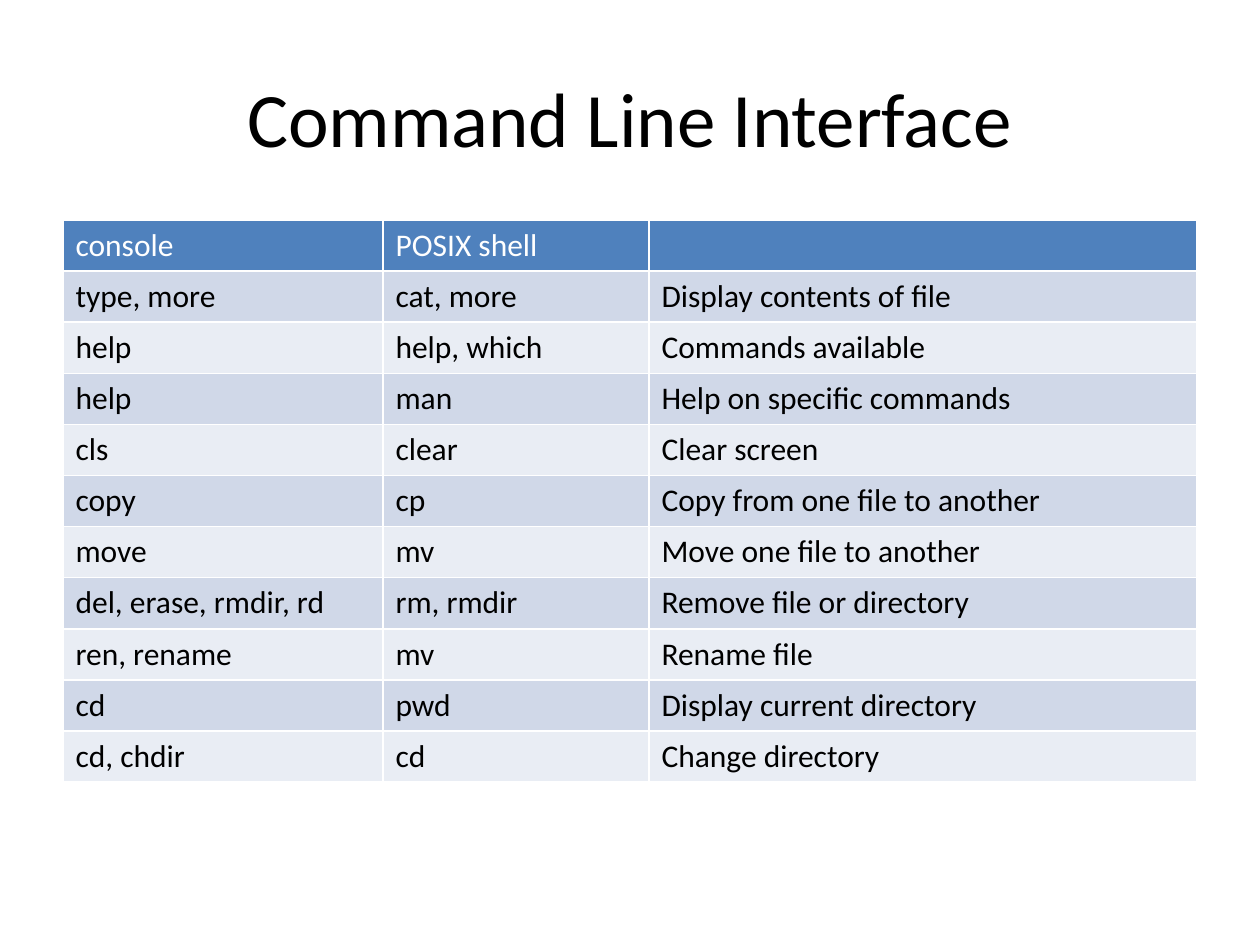
from lxml import etree
from pptx import Presentation
from pptx.dml.color import RGBColor
from pptx.enum.text import MSO_ANCHOR, PP_ALIGN
from pptx.oxml.ns import qn
from pptx.util import Pt

PX = 914400 / 126
CENTER = PP_ALIGN.CENTER
MIDDLE = MSO_ANCHOR.MIDDLE
FONT = "Calibri"
TITLE_ONLY = 5
COLORS = {
    "text": "000000",
    "header": "4F81BD",
    "header_text": "FFFFFF",
    "odd_row": "D0D8E8",
    "even_row": "E9EDF4",
    "border": "FFFFFF",
}
COLUMN_WIDTHS = [320, 266, 548]
COMMANDS = [
    ("console", "POSIX shell", ""),
    ("type, more", "cat, more", "Display contents of file"),
    ("help", "help, which", "Commands available"),
    ("help", "man", "Help on specific commands"),
    ("cls", "clear", "Clear screen"),
    ("copy", "cp", "Copy from one file to another"),
    ("move", "mv", "Move one file to another"),
    ("del, erase, rmdir, rd", "rm, rmdir", "Remove file or directory"),
    ("ren, rename", "mv", "Rename file"),
    ("cd", "pwd", "Display current directory"),
    ("cd, chdir", "cd", "Change directory"),
]


def px(length):
    """Turn pixels into EMU."""
    return round(length * PX)


def set_font(paragraph, size, color):
    """Format a whole paragraph in the slide's font."""
    font = paragraph.font
    font.name, font.size, font.bold = FONT, Pt(size), False
    font.color.rgb = RGBColor.from_string(COLORS[color])


def set_borders(cell):
    """Draw thin white borders around a cell."""
    properties = cell._tc.get_or_add_tcPr()
    for position, side in enumerate(("a:lnL", "a:lnR", "a:lnT", "a:lnB")):
        line = etree.Element(qn(side), w=str(Pt(1)))
        fill = etree.SubElement(line, qn("a:solidFill"))
        etree.SubElement(fill, qn("a:srgbClr"), val=COLORS["border"])
        properties.insert(position, line)


def add_title(slide, text, left, top, width, height):
    """Place and format the slide title."""
    title = slide.shapes.title
    title.left, title.top = px(left), px(top)
    title.width, title.height = px(width), px(height)
    title.text_frame.text = text
    title.text_frame.vertical_anchor = MIDDLE
    paragraph = title.text_frame.paragraphs[0]
    paragraph.alignment = CENTER
    set_font(paragraph, 44, "text")


def add_command_table(slide, left, top, width, height):
    """Place the table of equivalent commands."""
    table = slide.shapes.add_table(
        len(COMMANDS), len(COLUMN_WIDTHS), px(left), px(top), px(width), px(height)
    ).table
    for column, column_width in zip(table.columns, COLUMN_WIDTHS):
        column.width = px(column_width)
    for row_index, texts in enumerate(COMMANDS):
        is_header = row_index == 0
        fill = "header" if is_header else "odd_row" if row_index % 2 else "even_row"
        for column_index, text in enumerate(texts):
            cell = table.cell(row_index, column_index)
            cell.text = text
            cell.fill.solid()
            cell.fill.fore_color.rgb = RGBColor.from_string(COLORS[fill])
            set_borders(cell)
            set_font(
                cell.text_frame.paragraphs[0], 18, "header_text" if is_header else "text"
            )


def main():
    """Build and save the presentation."""
    presentation = Presentation()
    presentation.slide_width, presentation.slide_height = px(1260), px(945)
    slide = presentation.slides.add_slide(presentation.slide_layouts[TITLE_ONLY])
    add_title(slide, "Command Line Interface", 63, 38, 1134, 157)
    add_command_table(slide, 63, 220, sum(COLUMN_WIDTHS), 562)
    presentation.save("out.pptx")


if __name__ == "__main__":
    main()
